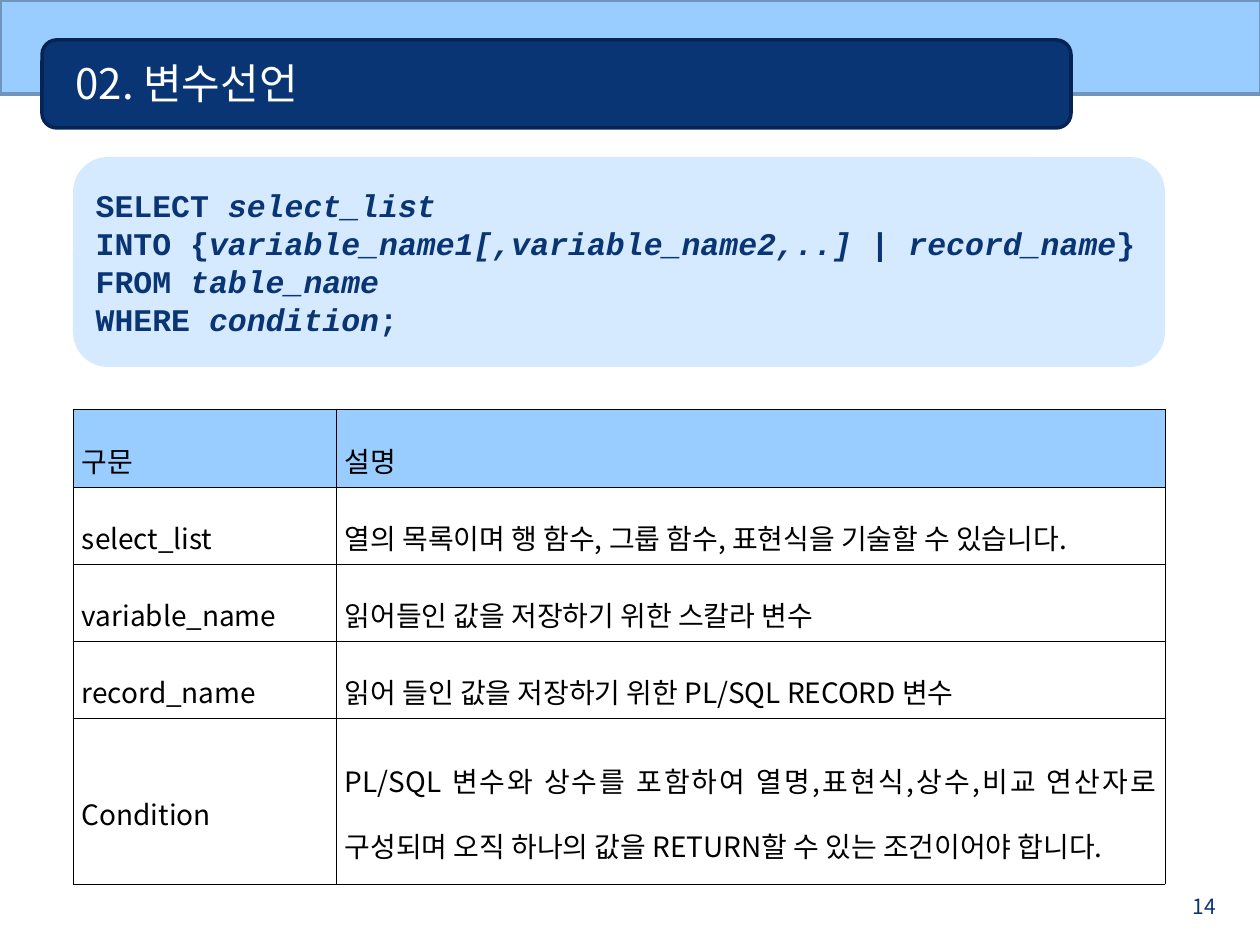
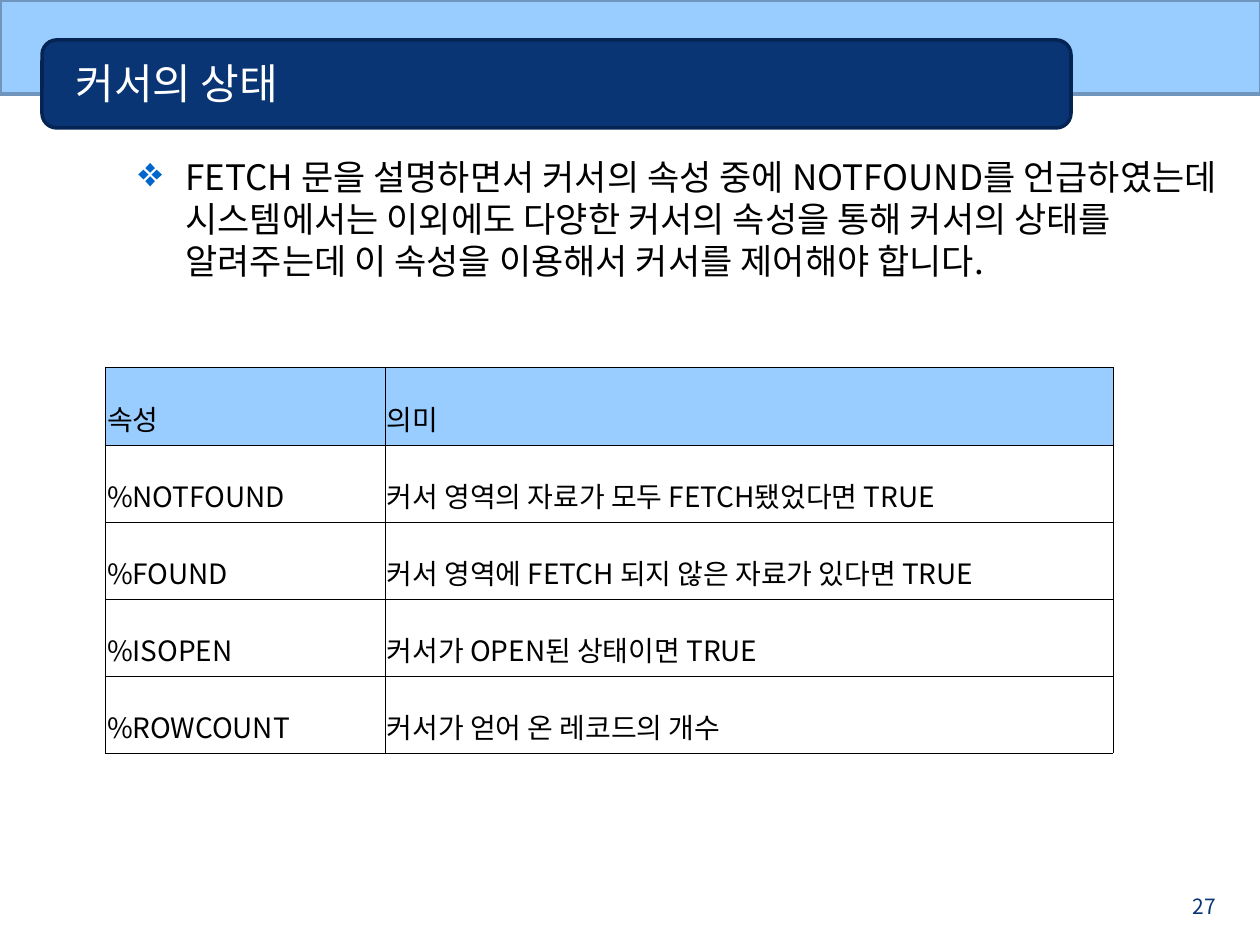
from dataclasses import dataclass

from lxml.etree import SubElement
from pptx import Presentation
from pptx.dml.color import RGBColor
from pptx.enum.shapes import MSO_SHAPE as Shape
from pptx.enum.text import MSO_ANCHOR as Anchor, MSO_AUTO_SIZE as AutoSize, PP_ALIGN as Align
from pptx.oxml import parse_xml
from pptx.oxml.ns import nsdecls, qn
from pptx.util import Pt

EMU_PER_PX = 914400 / 126


@dataclass(frozen=True)
class Theme:
    """Colours, fonts and type sizes shared by the slides."""

    navy: str = "093575"
    navy_edge: str = "052454"
    sky: str = "99CCFF"
    sky_edge: str = "6F95BC"
    bullet: str = "0066CC"
    black: str = "000000"
    white: str = "FFFFFF"
    body_font: str = "Noto Sans CJK KR"
    code_font: str = "Courier New"
    title_size: int = 24
    body_size: int = 20
    code_size: int = 18
    table_size: int = 16
    number_size: int = 12
    edge_width: int = 2
    border_width: float = 0.11


THEME = Theme()

SYNTAX_LINES = [
    ("SELECT ", "select_list"),
    ("INTO {", "variable_name1[,variable_name2,..] | record_name", "}"),
    ("FROM ", "table_name"),
    ("WHERE ", "condition", ";"),
]

SYNTAX_ROWS = [
    ("구문", "설명"),
    ("select_list", "열의 목록이며 행 함수, 그룹 함수, 표현식을 기술할 수 있습니다."),
    ("variable_name", "읽어들인 값을 저장하기 위한 스칼라 변수"),
    ("record_name", "읽어 들인 값을 저장하기 위한 PL/SQL RECORD 변수"),
    ("Condition", "PL/SQL 변수와 상수를 포함하여 열명,표현식,상수,비교 연산자로 "
                  "구성되며 오직 하나의 값을 RETURN할 수 있는 조건이어야 합니다."),
]

CURSOR_TEXT = (
    "FETCH 문을 설명하면서 커서의 속성 중에 NOTFOUND를 언급하였는데 "
    "시스템에서는 이외에도 다양한 커서의 속성을 통해 커서의 상태를 알려주는데 "
    "이 속성을 이용해서 커서를 제어해야 합니다."
)

CURSOR_ROWS = [
    ("속성", "의미"),
    ("%NOTFOUND", "커서 영역의 자료가 모두 FETCH됐었다면 TRUE"),
    ("%FOUND", "커서 영역에 FETCH 되지 않은 자료가 있다면 TRUE"),
    ("%ISOPEN", "커서가 OPEN된 상태이면 TRUE"),
    ("%ROWCOUNT", "커서가 얻어 온 레코드의 개수"),
]


def px(length):
    """Turn pixels into EMU."""
    return round(length * EMU_PER_PX)


def box(left, top, width, height):
    """Turn a pixel rectangle into EMU arguments."""
    return [px(length) for length in (left, top, width, height)]


def rgb(color):
    """Turn a hex string into a colour."""
    return RGBColor.from_string(color)


def format_runs(paragraph, size, color, font=THEME.body_font):
    """Give every run one size, colour and font, without pair kerning."""
    for run in paragraph.runs:
        run.font.size = Pt(size)
        run.font.color.rgb = rgb(color)
        run.font.name = font
        run.font._element.set("kern", "0")
        SubElement(run.font._element, qn("a:ea"), typeface=font)


def add_panel(slide, preset, bounds, fill, edge=None):
    """Add a filled preset shape with an optional outline."""
    shape = slide.shapes.add_shape(preset, *box(*bounds))
    shape.shadow.inherit = False
    shape.fill.solid()
    shape.fill.fore_color.rgb = rgb(fill)
    if edge:
        shape.line.color.rgb = rgb(edge)
        shape.line.width = Pt(THEME.edge_width)
    else:
        shape.line.fill.background()
    return shape


def add_text(slide, bounds, text, size, color, margin_right=13):
    """Add a wrapping text box and return its paragraph."""
    text_frame = slide.shapes.add_textbox(*box(*bounds)).text_frame
    text_frame.word_wrap = True
    text_frame.margin_right = px(margin_right)
    text_frame.text = text
    paragraph = text_frame.paragraphs[0]
    format_runs(paragraph, size, color)
    return paragraph


def add_titled_slide(presentation, title_text, number):
    """Add a slide with the shared band, title bar, title and page number."""
    slide = presentation.slides.add_slide(presentation.slide_layouts[5])
    add_panel(slide, Shape.RECTANGLE, (0, 0, 1261, 94), THEME.sky, THEME.sky_edge)
    add_panel(slide, Shape.ROUNDED_RECTANGLE, (42, 40, 1029, 88), THEME.navy, THEME.navy_edge)
    add_text(slide, (1166, 887, 63, 26), str(number),
             THEME.number_size, THEME.navy).alignment = Align.RIGHT

    title = slide.shapes.title
    slide.shapes._spTree.append(title._element)
    title.left, title.top, title.width, title.height = box(63, 44, 998, 78)
    title.text_frame.text = title_text
    title.text_frame.auto_size = AutoSize.NONE
    title.text_frame.vertical_anchor = Anchor.MIDDLE
    paragraph = title.text_frame.paragraphs[0]
    paragraph.alignment = Align.LEFT
    format_runs(paragraph, THEME.title_size, THEME.white)
    return slide


def add_syntax_panel(slide, bounds, lines):
    """Add a translucent panel of code whose every second part is italic."""
    panel = add_panel(slide, Shape.ROUNDED_RECTANGLE, bounds, THEME.sky)
    color = panel.fill._xPr.find(qn("a:solidFill"))[0]
    SubElement(color, qn("a:alpha"), val="40000")
    text_frame = panel.text_frame
    text_frame.word_wrap = False
    text_frame.vertical_anchor = Anchor.MIDDLE
    for index, parts in enumerate(lines):
        paragraph = text_frame.add_paragraph() if index else text_frame.paragraphs[0]
        paragraph.alignment = Align.LEFT
        for position, part in enumerate(parts):
            run = paragraph.add_run()
            run.text = part
            run.font.bold = True
            run.font.italic = position % 2 == 1
        format_runs(paragraph, THEME.code_size, THEME.navy, THEME.code_font)


def add_bullet_text(slide, bounds, text):
    """Add a body paragraph with a hanging diamond bullet."""
    paragraph = add_text(slide, bounds, text, THEME.body_size, THEME.black, margin_right=24)
    paragraph.space_before = Pt(24)
    properties = paragraph._p.get_or_add_pPr()
    properties.set("marL", str(px(47)))
    properties.set("indent", str(px(-47)))
    bullet_color = SubElement(properties, qn("a:buClr"))
    SubElement(bullet_color, qn("a:srgbClr"), val=THEME.bullet)
    SubElement(properties, qn("a:buSzPct"), val="120000")
    SubElement(properties, qn("a:buChar"), char="❖")


def add_borders(cell):
    """Draw a hairline on all four sides of a cell."""
    properties = cell._tc.get_or_add_tcPr()
    for side in ("lnL", "lnR", "lnT", "lnB"):
        properties.append(parse_xml(
            f'<a:{side} {nsdecls("a")} w="{Pt(THEME.border_width)}"><a:solidFill>'
            f'<a:srgbClr val="{THEME.black}"/></a:solidFill></a:{side}>'))


def fill_cell(cell, text, margin, is_header):
    """Write and format one table cell."""
    add_borders(cell)
    if is_header:
        cell.fill.solid()
        cell.fill.fore_color.rgb = rgb(THEME.sky)
    else:
        cell.fill.background()
    cell.margin_left = cell.margin_right = px(margin)
    cell.margin_top = cell.margin_bottom = px(6)
    cell.vertical_anchor = Anchor.MIDDLE
    cell.text_frame.text = text
    paragraph = cell.text_frame.paragraphs[0]
    paragraph.alignment = Align.JUSTIFY
    paragraph.line_spacing = 1.6
    format_runs(paragraph, THEME.table_size, THEME.black)


def add_grid(slide, left, top, widths, heights, rows, margin):
    """Add a bordered table with a sky-blue header row."""
    bounds = box(left, top, sum(widths), sum(heights))
    table = slide.shapes.add_table(len(rows), len(widths), *bounds).table
    table.first_row = table.horz_banding = False
    for column, width in zip(table.columns, widths):
        column.width = px(width)
    for index, (row, height, texts) in enumerate(zip(table.rows, heights, rows)):
        row.height = px(height)
        for cell, text in zip(row.cells, texts):
            fill_cell(cell, text, margin, is_header=index == 0)


def main():
    """Build both slides and save them."""
    presentation = Presentation()
    presentation.slide_width, presentation.slide_height = px(1260), px(945)

    slide = add_titled_slide(presentation, "02. 변수선언", 14)
    add_syntax_panel(slide, (73, 157, 1092, 210), SYNTAX_LINES)
    add_grid(slide, 73, 409, (263, 829), [78, 77, 77, 77, 166], SYNTAX_ROWS, margin=9)

    slide = add_titled_slide(presentation, "커서의 상태", 27)
    add_bullet_text(slide, (126, 149, 1134, 774), CURSOR_TEXT)
    add_grid(slide, 105, 367, (280, 728), [78, 77, 77, 77, 77], CURSOR_ROWS, margin=2)

    presentation.save("out.pptx")


if __name__ == "__main__":
    main()
